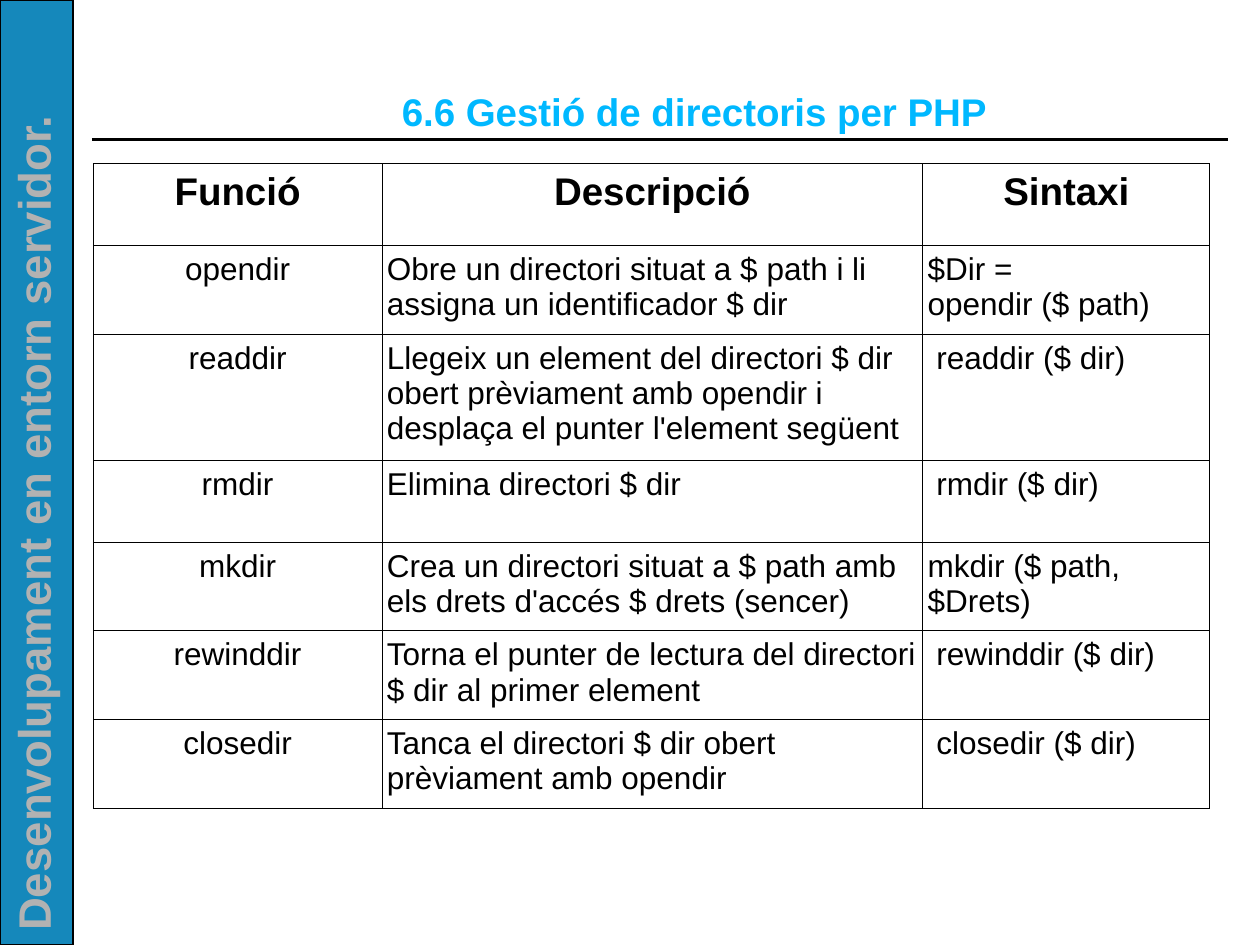
import pptx
import pptx.dml.color
import pptx.enum.shapes
import pptx.enum.text
import pptx.oxml
import pptx.oxml.ns
import pptx.util
from pptx.util import Cm

# Content
SUBJECT = "Desenvolupament en entorn servidor."
TITLE = "6.6 Gestió de directoris per PHP"
HEADINGS = ("Funció", "Descripció", "Sintaxi")
FUNCTIONS = [
    ("opendir",
     "Obre un directori situat a $ path i li assigna un identificador $ dir",
     "$Dir =\nopendir ($ path)"),
    ("readdir",
     "Llegeix un element del directori $ dir obert prèviament amb opendir i "
     "desplaça el punter l'element següent",
     " readdir ($ dir)"),
    ("rmdir", "Elimina directori $ dir", " rmdir ($ dir)"),
    ("mkdir",
     "Crea un directori situat a $ path amb els drets d'accés $ drets (sencer)",
     "mkdir ($ path,\n$Drets)"),
    ("rewinddir",
     "Torna el punter de lectura del directori $ dir al primer element",
     " rewinddir ($ dir)"),
    ("closedir",
     "Tanca el directori $ dir obert prèviament amb opendir",
     " closedir ($ dir)"),
]
COLUMN_WIDTHS = (5.82, 10.9, 5.79)
ROW_HEIGHTS = (1.65, 1.78, 2.54, 1.65, 1.78, 1.78, 1.8)

THEME = {
    "font": "Arial",
    "ink": "000000", "title": "00B8FF", "sidebar": "1588BB", "subject": "B2B2B2",
    "subject_size": 26, "heading_size": 22, "body_size": 18,
    "border": 0.57,
}
ALIGN = pptx.enum.text.PP_ALIGN


def color(name):
    return pptx.dml.color.RGBColor.from_string(THEME[name])


def write(frame, text, size, ink="ink", bold=False, align=ALIGN.LEFT):
    frame.word_wrap = True
    frame.text = text
    for paragraph in frame.paragraphs:
        paragraph.alignment = align
        for run in paragraph.runs:
            run.font.name = THEME["font"]
            run.font.size = pptx.util.Pt(THEME[size])
            run.font.bold = bold
            run.font.color.rgb = color(ink)


def add_borders(cell):
    properties = cell._tc.get_or_add_tcPr()
    width = pptx.util.Pt(THEME["border"])
    for position, side in enumerate(("lnL", "lnR", "lnT", "lnB")):
        properties.insert(position, pptx.oxml.parse_xml(
            f'<a:{side} {pptx.oxml.ns.nsdecls("a")} w="{width}"><a:solidFill>'
            f'<a:srgbClr val="{THEME["ink"]}"/></a:solidFill></a:{side}>'))


def add_frame(slide):
    # Rule under the title
    rule = slide.shapes.add_connector(
        pptx.enum.shapes.MSO_CONNECTOR.STRAIGHT,
        Cm(1.85), Cm(2.81), Cm(24.75), Cm(2.81))
    rule.line.color.rgb = color("ink")
    rule.line.width = 0
    rule._element.spPr.append(pptx.oxml.parse_xml(
        f'<a:effectLst {pptx.oxml.ns.nsdecls("a")}/>'))

    # Sidebar with the subject running upwards
    sidebar = slide.shapes.add_shape(
        pptx.enum.shapes.MSO_SHAPE.RECTANGLE, 0, 0, Cm(1.48), Cm(19.05))
    sidebar.shadow.inherit = False
    sidebar.fill.solid()
    sidebar.fill.fore_color.rgb = color("sidebar")
    sidebar.line.color.rgb = color("ink")
    sidebar.line.width = pptx.util.Pt(1)
    subject = slide.shapes.add_textbox(Cm(-8.23), Cm(9.5), Cm(17.73), Cm(1.3))
    subject.rotation = 270
    write(subject.text_frame, SUBJECT, "subject_size", "subject", bold=True)


def add_title(slide):
    title = slide.shapes.add_textbox(Cm(3.5), Cm(1.63), Cm(21), Cm(1.24)).text_frame
    title.margin_left = title.margin_right = title.margin_top = title.margin_bottom = 0
    title.vertical_anchor = pptx.enum.text.MSO_ANCHOR.MIDDLE
    write(title, TITLE, "heading_size", "title", bold=True, align=ALIGN.CENTER)


def add_functions(slide):
    rows = [HEADINGS, *FUNCTIONS]
    table = slide.shapes.add_table(
        len(rows), len(HEADINGS), Cm(1.88), Cm(3.3),
        Cm(sum(COLUMN_WIDTHS)), Cm(sum(ROW_HEIGHTS))).table
    table.first_row = table.horz_banding = False
    for column, width in zip(table.columns, COLUMN_WIDTHS):
        column.width = Cm(width)
    for r, (texts, height) in enumerate(zip(rows, ROW_HEIGHTS)):
        table.rows[r].height = Cm(height)
        heading = r == 0
        for c, text in enumerate(texts):
            cell = table.cell(r, c)
            cell.margin_left = cell.margin_right = Cm(0.1)
            cell.margin_top = cell.margin_bottom = Cm(0.13)
            cell.fill.background()
            add_borders(cell)
            write(cell.text_frame, text,
                  "heading_size" if heading else "body_size", bold=heading,
                  align=ALIGN.CENTER if heading or c == 0 else ALIGN.LEFT)


def main():
    deck = pptx.Presentation()
    deck.slide_width, deck.slide_height = Cm(25.4), Cm(19.05)
    slide = deck.slides.add_slide(deck.slide_layouts[6])
    add_frame(slide)
    add_title(slide)
    add_functions(slide)
    deck.save("out.pptx")


if __name__ == "__main__":
    main()
